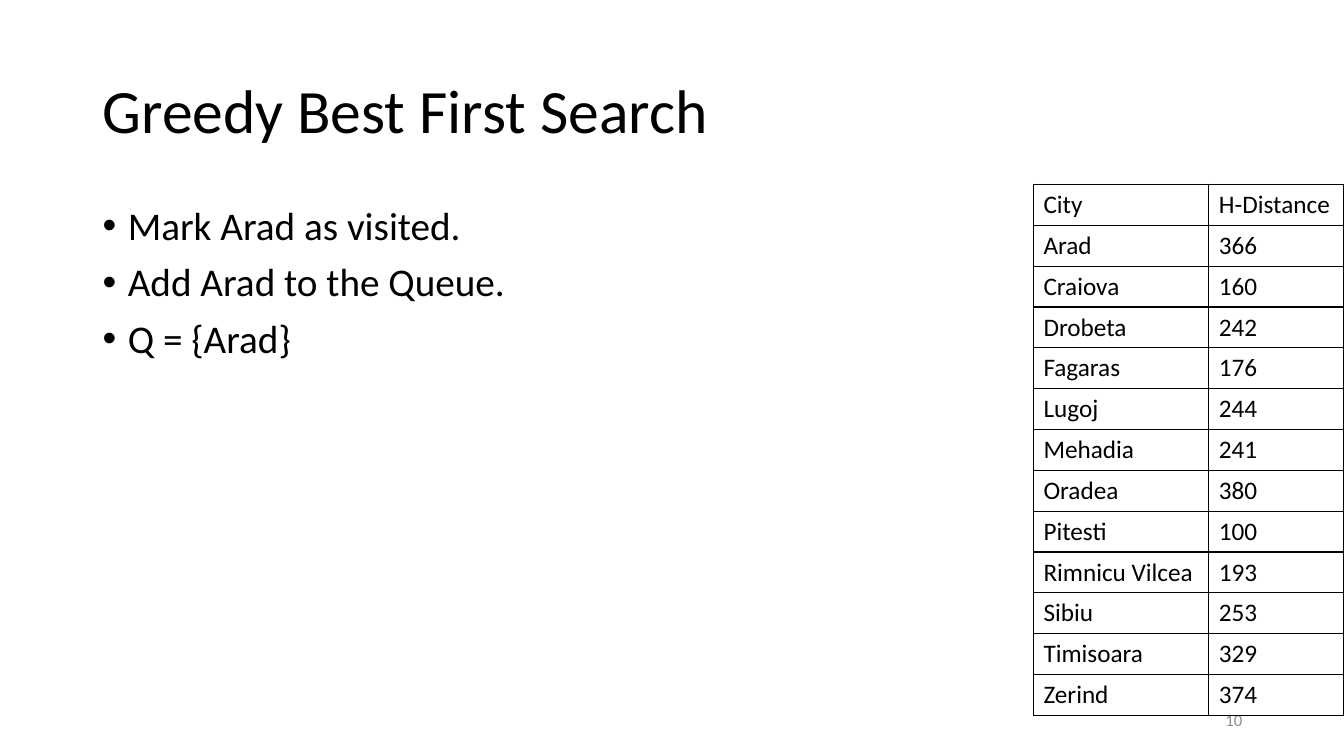
from dataclasses import dataclass

from lxml import etree
from pptx import Presentation
from pptx.dml.color import RGBColor
from pptx.enum.text import MSO_ANCHOR, PP_ALIGN
from pptx.oxml.ns import qn
from pptx.util import Inches, Pt

MIDDLE, TOP = MSO_ANCHOR.MIDDLE, MSO_ANCHOR.TOP
LEFT, RIGHT = PP_ALIGN.LEFT, PP_ALIGN.RIGHT


@dataclass(frozen=True)
class Theme:
    font: str = "Calibri"
    ink: str = "000000"
    muted: str = "8C8C8C"
    title: int = 44
    body: int = 28
    table: int = 18
    number: int = 12
    border: int = 1


THEME = Theme()

STEPS = ["Mark Arad as visited.", "Add Arad to the Queue.", "Q = {Arad}"]
DISTANCES = [
    ("City", "H-Distance"),
    ("Arad", "366"),
    ("Craiova", "160"),
    ("Drobeta", "242"),
    ("Fagaras", "176"),
    ("Lugoj", "244"),
    ("Mehadia", "241"),
    ("Oradea", "380"),
    ("Pitesti", "100"),
    ("Rimnicu Vilcea", "193"),
    ("Sibiu", "253"),
    ("Timisoara", "329"),
    ("Zerind", "374"),
]


def style(paragraph, size, color=THEME.ink):
    paragraph.font.name = THEME.font
    paragraph.font.size = Pt(size)
    paragraph.font.color.rgb = RGBColor.from_string(color)


def add_frame(slide, box, anchor):
    frame = slide.shapes.add_textbox(*map(Inches, box)).text_frame
    frame.word_wrap = True
    frame.vertical_anchor = anchor
    return frame


def add_line(slide, box, text, size, color=THEME.ink, align=LEFT):
    """One line of text, centred vertically in its box."""
    line = add_frame(slide, box, MIDDLE).paragraphs[0]
    line.text = text
    line.alignment = align
    line.line_spacing = 0.9
    style(line, size, color)


def add_steps(slide, box):
    """Bulleted list of search steps."""
    frame = add_frame(slide, box, TOP)
    for index, text in enumerate(STEPS):
        step = frame.paragraphs[0] if index == 0 else frame.add_paragraph()
        step.text = text
        step.line_spacing = 0.9
        step.space_before = Pt(10 if index else 0)
        # Hanging bullet
        properties = step._p.get_or_add_pPr()
        properties.set("marL", str(Inches(0.25)))
        properties.set("indent", str(-Inches(0.25)))
        etree.SubElement(properties, qn("a:buFont"), typeface="Arial")
        etree.SubElement(properties, qn("a:buChar"), char="•")
        style(step, THEME.body)


def add_borders(cell):
    properties = cell._tc.get_or_add_tcPr()
    for side in ("lnL", "lnR", "lnT", "lnB"):
        line = etree.SubElement(properties, qn(f"a:{side}"), w=str(Pt(THEME.border)))
        fill = etree.SubElement(line, qn("a:solidFill"))
        etree.SubElement(fill, qn("a:srgbClr"), val=THEME.ink)


def add_distances(slide, box, city_width):
    """Table of heuristic distances, rows sharing the box height equally."""
    left, top, width, height = box
    table = slide.shapes.add_table(len(DISTANCES), 2, *map(Inches, box)).table
    table.first_row = table.horz_banding = False
    table.columns[0].width = Inches(city_width)
    table.columns[1].width = Inches(width - city_width)
    for row, values in enumerate(DISTANCES):
        table.rows[row].height = Inches(height / len(DISTANCES))
        for column, value in enumerate(values):
            cell = table.cell(row, column)
            cell.text = value
            add_borders(cell)
            cell.fill.background()
            style(cell.text_frame.paragraphs[0], THEME.table)


def build_search_slide(presentation):
    slide = presentation.slides.add_slide(presentation.slide_layouts[6])
    add_line(slide, (0.92, 0.4, 11.5, 1.45), "Greedy Best First Search", THEME.title)
    add_steps(slide, (0.92, 2, 11.5, 4.76))
    add_line(slide, (9.42, 6.95, 3, 0.4), "10", THEME.number, THEME.muted, RIGHT)
    add_distances(slide, (10.25, 1.83, 3.08, 5.27), city_width=1.74)


def main():
    presentation = Presentation()
    presentation.slide_width = Inches(13.33)
    presentation.slide_height = Inches(7.5)
    build_search_slide(presentation)
    presentation.save("out.pptx")


if __name__ == "__main__":
    main()
